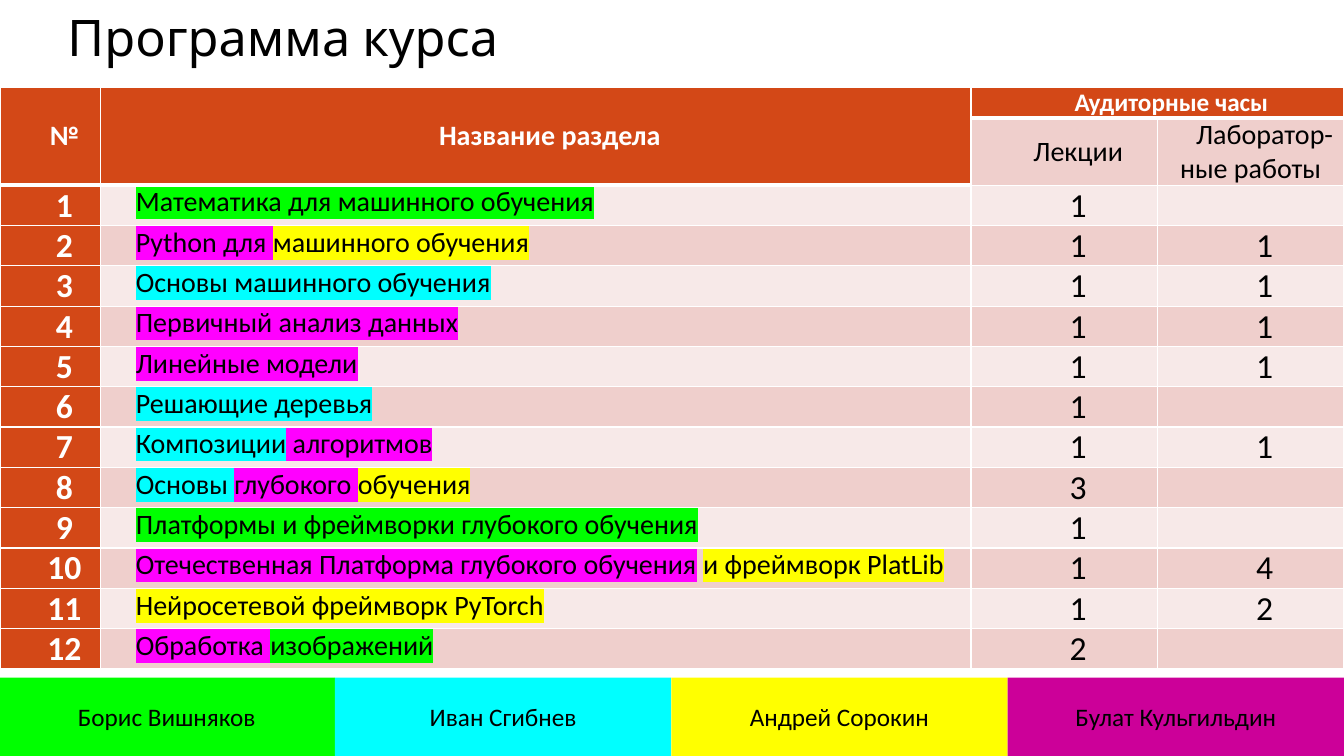
from dataclasses import dataclass

from lxml import etree
from pptx import Presentation
from pptx.dml.color import RGBColor
from pptx.enum import shapes, text
from pptx.oxml import ns
from pptx.util import Pt


@dataclass(frozen=True)
class Theme:
    heading_font: str = "Karla"
    body_font: str = "Calibri"
    ink: str = "000000"
    white: str = "FFFFFF"
    accent: str = "D34817"
    dark_band: str = "EFCFCC"
    light_band: str = "F7E9E8"
    green: str = "00FF00"
    cyan: str = "00FFFF"
    yellow: str = "FFFF00"
    magenta: str = "FF00FF"
    purple: str = "CC0099"
    title_size: int = 36
    number_size: int = 24
    body_size: int = 20
    small_size: int = 18


THEME = Theme()
CENTER, LEFT = text.PP_ALIGN.CENTER, text.PP_ALIGN.LEFT
MIDDLE, TOP = text.MSO_ANCHOR.MIDDLE, text.MSO_ANCHOR.TOP
GREEN, CYAN, YELLOW, MAGENTA = THEME.green, THEME.cyan, THEME.yellow, THEME.magenta

SECTIONS = [
    ([("Математика для машинного обучения", GREEN)], "1", ""),
    ([("Python для ", MAGENTA), ("машинного обучения", YELLOW)], "1", "1"),
    ([("Основы машинного обучения", CYAN)], "1", "1"),
    ([("Первичный анализ данных", MAGENTA)], "1", "1"),
    ([("Линейные модели", MAGENTA)], "1", "1"),
    ([("Решающие деревья", CYAN)], "1", ""),
    ([("Композиции", CYAN), (" алгоритмов", MAGENTA)], "1", "1"),
    ([("Основы ", CYAN), ("глубокого ", MAGENTA), ("обучения", YELLOW)], "3", ""),
    ([("Платформы и фреймворки глубокого обучения", GREEN)], "1", ""),
    ([("Отечественная Платформа глубокого обучения", MAGENTA), (" ", None),
      ("и фреймворк PlatLib", YELLOW)], "1", "4"),
    ([("Нейросетевой фреймворк PyTorch", YELLOW)], "1", "2"),
    ([("Обработка ", MAGENTA), ("изображений", GREEN)], "2", ""),
]
LECTURERS = [
    ("Борис Вишняков", GREEN),
    ("Иван Сгибнев", CYAN),
    ("Андрей Сорокин", YELLOW),
    ("Булат Кульгильдин", THEME.purple),
]
COLUMN_WIDTHS = (72, 621.6, 133.2, 133.2)
HEADER_HEIGHTS = (21.6, 48)
SECTION_HEIGHT = 28.8


def apply(target, values):
    for key, value in values.items():
        setattr(target, key, value)


def paint(fill, color):
    fill.solid()
    fill.fore_color.rgb = RGBColor.from_string(color)


def add_color(parent, tag, color):
    holder = etree.SubElement(parent, ns.qn(tag))
    etree.SubElement(holder, ns.qn("a:srgbClr"), val=color)
    return holder


def write(paragraph, runs, size, color=THEME.ink, bold=False,
          font=THEME.body_font, align=CENTER, indent=0):
    paragraph.alignment = align
    if indent:
        apply_indent = paragraph._p.get_or_add_pPr()
        apply_indent.set("marL", "0")
        apply_indent.set("indent", str(Pt(indent)))
    for words, mark in runs:
        run = paragraph.add_run()
        run.text = words
        apply(run.font, {"size": Pt(size), "bold": bold, "name": font})
        paint(run.font.fill, color)
        if mark:
            properties = run._r.get_or_add_rPr()
            highlight = add_color(properties, "a:highlight", mark)
            properties.find(ns.qn("a:solidFill")).addnext(highlight)


def border(cell, widths):
    properties = cell._tc.get_or_add_tcPr()
    for place, (side, width) in enumerate(widths.items()):
        line = etree.Element(ns.qn(f"a:ln{side}"), w=str(Pt(width)))
        add_color(line, "a:solidFill", THEME.white)
        properties.insert(place, line)


def add_title(slide, left, top, width, height):
    title = slide.shapes.add_textbox(Pt(left), Pt(top), Pt(width), Pt(height))
    title.text_frame.word_wrap = True
    paragraph = title.text_frame.paragraphs[0]
    write(paragraph, [("Программа курса", None)], THEME.title_size,
          font=THEME.heading_font, align=LEFT)
    paragraph._p.get_or_add_pPr().set("marL", str(Pt(42.5)))


def add_program(slide, left, top, width, height):
    heights = HEADER_HEIGHTS + (SECTION_HEIGHT,) * len(SECTIONS)
    program = slide.shapes.add_table(len(heights), len(COLUMN_WIDTHS), Pt(left),
                                     Pt(top), Pt(width), Pt(height)).table
    apply(program, {"first_row": False, "horz_banding": False})
    for column, column_width in zip(program.columns, COLUMN_WIDTHS):
        column.width = Pt(column_width)
    for row, row_height in zip(program.rows, heights):
        row.height = Pt(row_height)

    def is_header(row, column):
        return row == 0 or (row == 1 and column < 2)

    for row in range(len(heights)):
        for column in range(len(COLUMN_WIDTHS)):
            cell = program.cell(row, column)
            apply(cell, {"margin_left": Pt(5), "margin_right": Pt(5),
                         "margin_top": 0, "margin_bottom": 0,
                         "vertical_anchor": MIDDLE if row < 2 else TOP})
            band = THEME.dark_band if row % 2 else THEME.light_band
            paint(cell.fill, THEME.accent if is_header(row, column) or column == 0 else band)
            border(cell, {"L": 1, "R": 1,
                          "T": 3 if row and is_header(row - 1, column) else 1,
                          "B": 3 if is_header(row, column) else 1})

    def put(row, column, runs, size, **style):
        paragraph = program.cell(row, column).text_frame.paragraphs[0]
        write(paragraph, runs, size, indent=20, **style)
        if row > 1:
            paragraph.line_spacing = 0.98

    for first, last in (((0, 0), (1, 0)), ((0, 1), (1, 1)), ((0, 2), (0, 3))):
        program.cell(*first).merge(program.cell(*last))
    inverse = {"color": THEME.white, "bold": True}
    put(0, 0, [("№", None)], THEME.body_size, **inverse)
    put(0, 1, [("Название раздела", None)], THEME.body_size, **inverse)
    put(0, 2, [("Аудиторные часы", None)], THEME.small_size, **inverse)
    put(1, 2, [("Лекции", None)], THEME.body_size)
    put(1, 3, [("Лаборатор-ные работы", None)], THEME.body_size)
    for number, (topic, lectures, labs) in enumerate(SECTIONS, 1):
        row = number + 1
        put(row, 0, [(str(number), None)], THEME.number_size, **inverse)
        put(row, 1, topic, THEME.body_size, align=LEFT)
        for column, hours in ((2, lectures), (3, labs)):
            if hours:
                put(row, column, [(hours, None)], THEME.number_size)


def add_lecturers(slide, left, top, width, height):
    step = width / len(LECTURERS)
    for place, (name, color) in enumerate(LECTURERS):
        lecturer = slide.shapes.add_shape(shapes.MSO_SHAPE.RECTANGLE, Pt(left + place * step),
                                          Pt(top), Pt(step), Pt(height))
        lecturer.shadow.inherit = False
        paint(lecturer.fill, color)
        lecturer.line.fill.background()
        apply(lecturer.text_frame, {"word_wrap": True, "vertical_anchor": MIDDLE})
        write(lecturer.text_frame.paragraphs[0], [(name, None)], THEME.small_size)


def main():
    deck = Presentation()
    apply(deck, {"slide_width": Pt(960), "slide_height": Pt(540)})
    slide = deck.slides.add_slide(deck.slide_layouts[6])
    add_title(slide, -1.4, 0.7, 960, 51)
    add_program(slide, 0, 62.6, 960, 415.2)
    add_lecturers(slide, -1, 484, 961, 56)
    deck.save("out.pptx")


if __name__ == "__main__":
    main()
